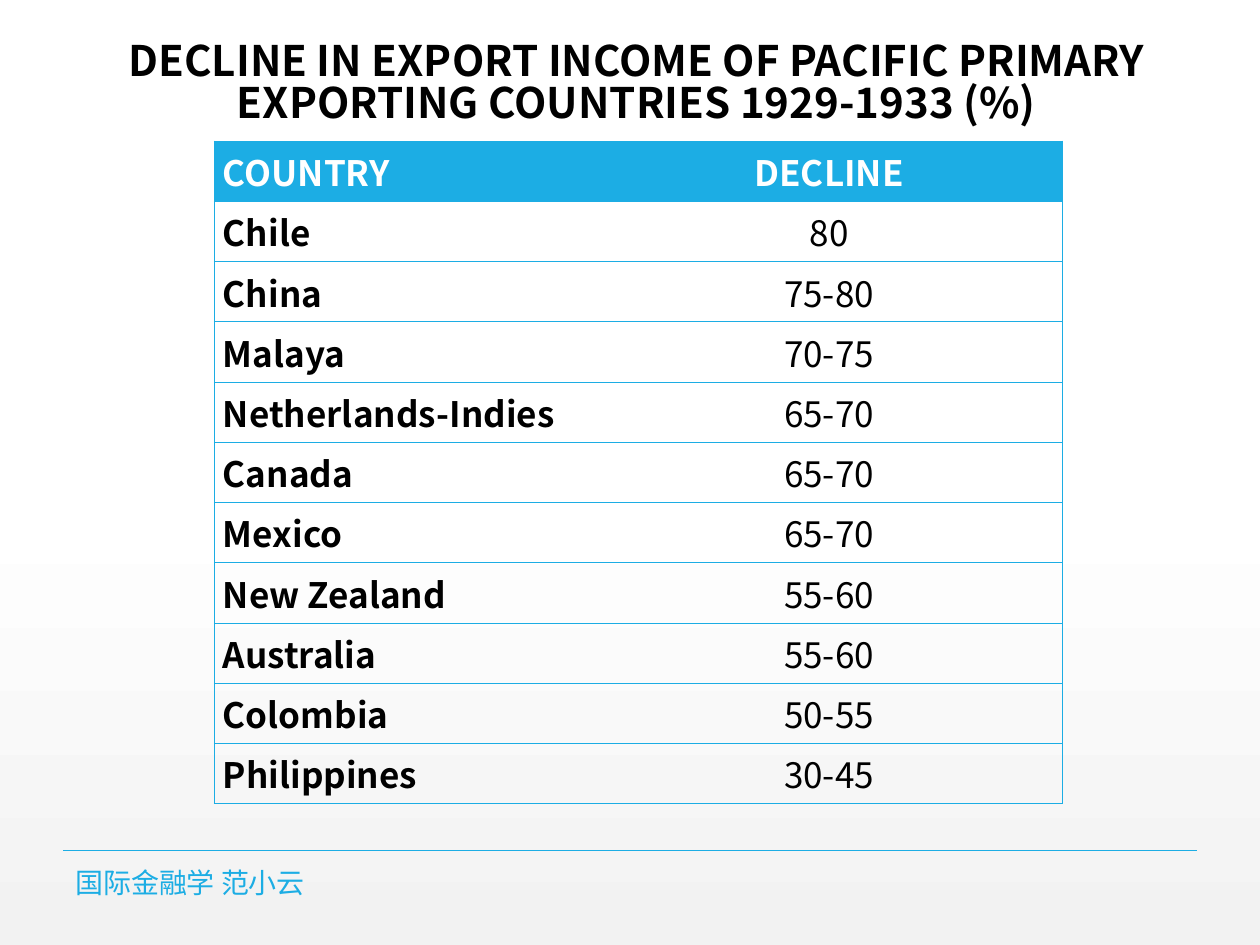
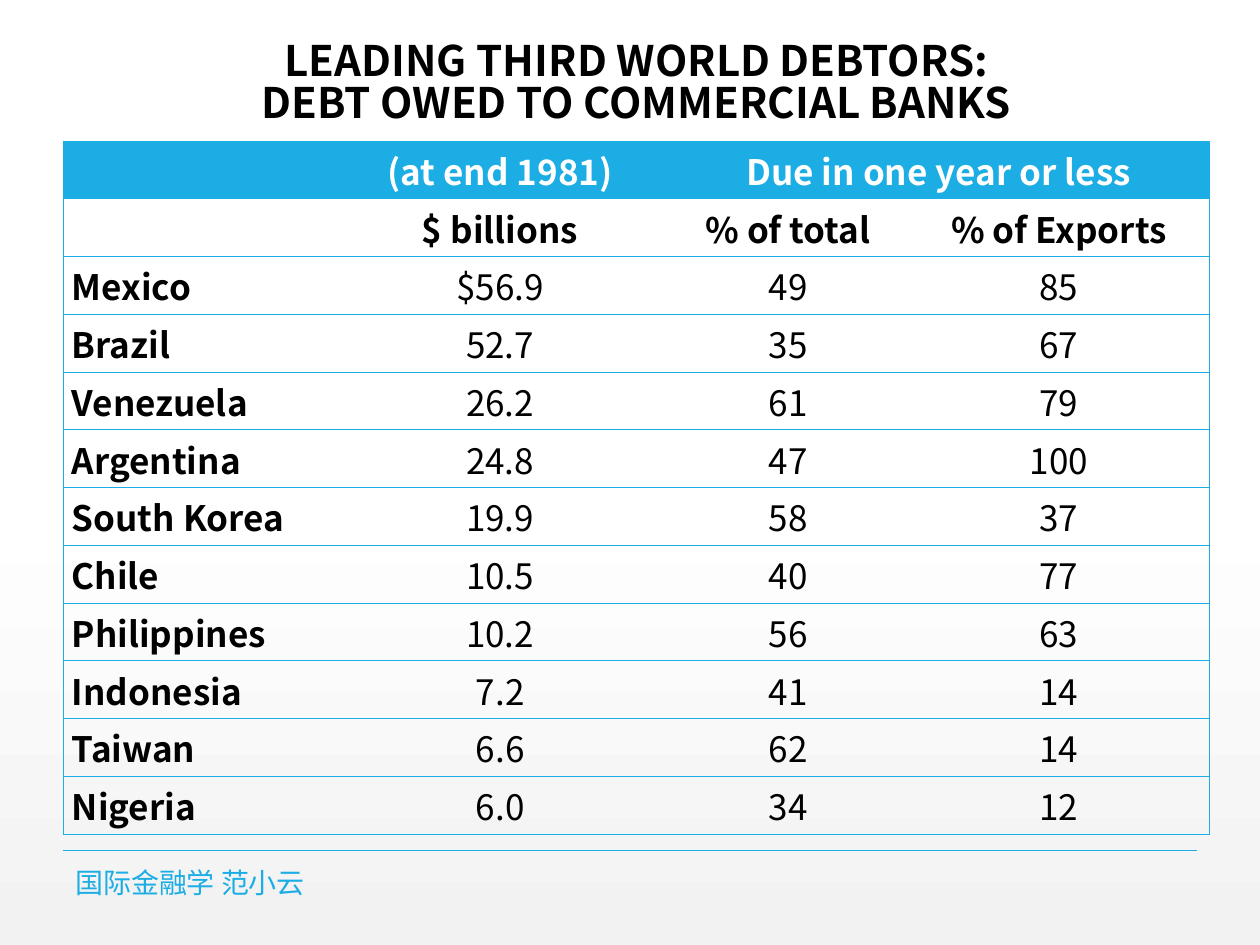
from dataclasses import dataclass

from lxml.etree import SubElement
from pptx import Presentation
from pptx.dml.color import RGBColor
from pptx.enum.shapes import MSO_CONNECTOR
from pptx.enum.text import MSO_ANCHOR, PP_ALIGN
from pptx.oxml.ns import qn
from pptx.util import Inches, Pt


@dataclass(frozen=True)
class Theme:
    font: str = "Noto Sans CJK SC"
    accent: RGBColor = RGBColor(0x1C, 0xAD, 0xE4)
    ink: RGBColor = RGBColor(0, 0, 0)
    white: RGBColor = RGBColor(255, 255, 255)
    shade: RGBColor = RGBColor(0xF2, 0xF2, 0xF2)
    title_size: int = 24
    table_size: int = 20
    footer_size: int = 16


THEME = Theme()
FOOTER = "国际金融学 范小云"
TABLE_TOP = 1.12

SLIDES = [
    {
        "title": ["DECLINE IN EXPORT INCOME OF PACIFIC PRIMARY",
                  "EXPORTING COUNTRIES 1929-1933 (%)"],
        "left": 1.7,
        "height": 5.26,
        "columns": [3.03, 3.7],
        "bold_rows": 1,
        "merges": [],
        "rows": [
            ["COUNTRY", "DECLINE"],
            ["Chile", "80"],
            ["China", "75-80"],
            ["Malaya", "70-75"],
            ["Netherlands-Indies", "65-70"],
            ["Canada", "65-70"],
            ["Mexico", "65-70"],
            ["New Zealand", "55-60"],
            ["Australia", "55-60"],
            ["Colombia", "50-55"],
            ["Philippines", "30-45"],
        ],
    },
    {
        "title": ["LEADING THIRD WORLD DEBTORS:", "DEBT OWED TO COMMERCIAL BANKS"],
        "left": 0.5,
        "height": 5.5,
        "columns": [2.14, 2.66, 1.91, 2.39],
        "bold_rows": 2,
        "merges": [((0, 2), (0, 3))],
        "rows": [
            ["", "(at end 1981)", "Due in one year or less", ""],
            ["", "$ billions", "% of total", "% of Exports"],
            ["Mexico", "$56.9", "49", "85"],
            ["Brazil", "52.7", "35", "67"],
            ["Venezuela", "26.2", "61", "79"],
            ["Argentina", "24.8", "47", "100"],
            ["South Korea", "19.9", "58", "37"],
            ["Chile", "10.5", "40", "77"],
            ["Philippines", "10.2", "56", "63"],
            ["Indonesia", "7.2", "41", "14"],
            ["Taiwan", "6.6", "62", "14"],
            ["Nigeria", "6.0", "34", "12"],
        ],
    },
]


def add_span(para, text, size, color, bold=False):
    span = para.add_run()
    span.text = text
    span.font.name = THEME.font
    span.font.size = Pt(size)
    span.font.bold = bold
    span.font.color.rgb = color
    SubElement(span.font._element, qn("a:ea"), typeface=THEME.font)


def set_borders(cell, visible_sides):
    """Draw the named sides (L, R, T, B) in the accent colour and clear the rest."""
    properties = cell._tc.get_or_add_tcPr()
    for side in "LRTB":
        line = SubElement(properties, qn(f"a:ln{side}"), w=str(Pt(0.5)))
        if side in visible_sides:
            fill = SubElement(line, qn("a:solidFill"))
            SubElement(fill, qn("a:srgbClr"), val=str(THEME.accent))
        else:
            SubElement(line, qn("a:noFill"))


deck = Presentation()
deck.slide_width = Inches(10)
deck.slide_height = Inches(7.5)

for content in SLIDES:
    page = deck.slides.add_slide(deck.slide_layouts[6])

    # Background fades from white to grey
    backdrop = page.background.fill
    backdrop.gradient()
    backdrop.gradient_angle = 270
    for stop, position, color in zip(
        backdrop.gradient_stops, (0.53, 1), (THEME.white, THEME.shade)
    ):
        stop.position = position
        stop.color.rgb = color

    # Footer
    rule = page.shapes.add_connector(
        MSO_CONNECTOR.STRAIGHT, Inches(0.5), Inches(6.75), Inches(9.5), Inches(6.75)
    )
    rule.line.color.rgb = THEME.accent
    rule.line.width = Pt(1)
    SubElement(rule._element.spPr, qn("a:effectLst"))

    footer = page.shapes.add_textbox(
        Inches(0.5), Inches(6.88), Inches(5.03), Inches(0.24)
    ).text_frame
    footer.word_wrap = True
    footer.vertical_anchor = MSO_ANCHOR.MIDDLE
    add_span(footer.paragraphs[0], FOOTER, THEME.footer_size, THEME.accent)

    # Title
    title = page.shapes.add_textbox(
        Inches(0.5), Inches(0.22), Inches(9.1), Inches(0.91)
    ).text_frame
    title.word_wrap = True
    title.vertical_anchor = MSO_ANCHOR.MIDDLE
    for index, text in enumerate(content["title"]):
        para = title.add_paragraph() if index else title.paragraphs[0]
        para.alignment = PP_ALIGN.CENTER
        para.line_spacing = 0.84
        add_span(para, text, THEME.title_size, THEME.ink, bold=True)

    # Table
    rows, columns = content["rows"], content["columns"]
    table = page.shapes.add_table(
        len(rows), len(columns), Inches(content["left"]), Inches(TABLE_TOP),
        Inches(sum(columns)), Inches(content["height"]),
    ).table
    table.horz_banding = False
    for column, width in zip(table.columns, columns):
        column.width = Inches(width)
    for row in table.rows:
        row.height = Inches(content["height"] / len(rows))

    for row_index, values in enumerate(rows):
        is_header = row_index == 0
        for column_index, value in enumerate(values):
            is_label = column_index == 0
            cell = table.cell(row_index, column_index)
            sides = "TB"
            if is_label:
                sides += "L"
            if column_index == len(columns) - 1:
                sides += "R"
            set_borders(cell, sides)
            if is_header:
                cell.fill.solid()
                cell.fill.fore_color.rgb = THEME.accent
            else:
                cell.fill.background()
            cell.vertical_anchor = MSO_ANCHOR.MIDDLE
            cell.margin_left = cell.margin_right = Inches(0.07)
            cell.margin_top = cell.margin_bottom = 0
            if value:
                para = cell.text_frame.paragraphs[0]
                para.alignment = PP_ALIGN.LEFT if is_label else PP_ALIGN.CENTER
                add_span(para, value, THEME.table_size,
                         THEME.white if is_header else THEME.ink,
                         bold=is_label or row_index < content["bold_rows"])

    for first, last in content["merges"]:
        table.cell(*first).merge(table.cell(*last))

deck.save("out.pptx")
